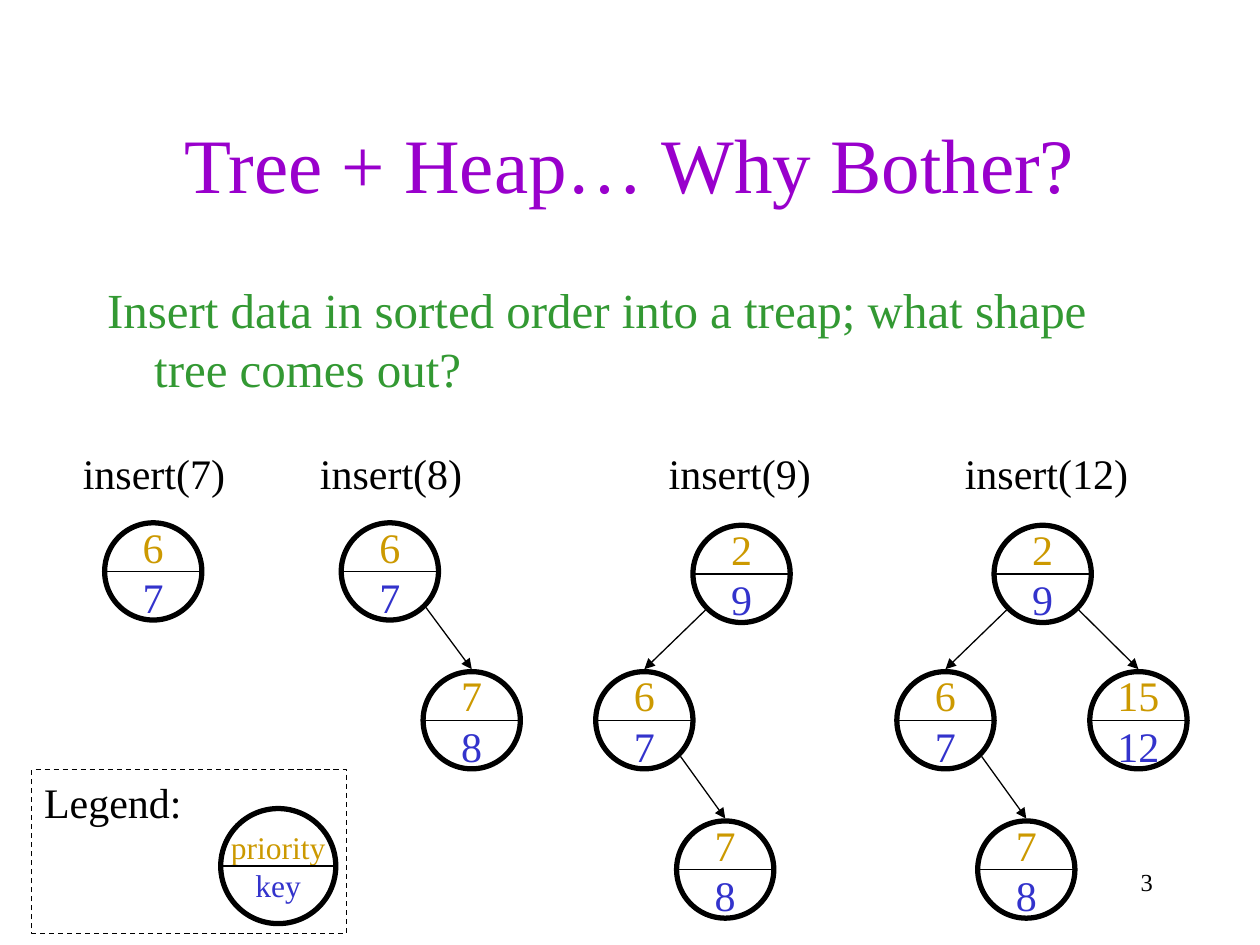
from dataclasses import dataclass
from math import sqrt

from lxml.etree import SubElement
from pptx import Presentation
from pptx.dml.color import RGBColor
from pptx.enum.dml import MSO_LINE_DASH_STYLE as Dash
from pptx.enum.shapes import MSO_CONNECTOR as Connector, MSO_SHAPE as Shape
from pptx.enum.text import MSO_ANCHOR as Anchor, PP_ALIGN as Align
from pptx.oxml.ns import qn
from pptx.util import Cm, Pt

FONT = "Times New Roman"
COLORS = {
    "title": "9900CC",
    "question": "339933",
    "priority": "CC9900",
    "key": "3333CC",
    "ink": "000000",
}
NODE_SIZE = 1.96
LEGEND_SIZE = 2.32
LINE_OVERHANG = 0.05
ROW_Y = (11.52, 14.52, 17.53)
LARGE_ROOT_Y = 11.57
LABEL_TOP = 8.89
LAST_TREE_SHIFT = 6.07


@dataclass
class Node:
    """A treap node; x and y are its centre in cm, parent an index in its tree."""
    priority: str
    key: str
    x: float
    y: float
    parent: int | None = None
    size: float = NODE_SIZE
    text_size: int = 24

    @property
    def reach(self) -> float:
        """Distance from the centre to the ends of the lines that touch the node."""
        return self.size / 2 + LINE_OVERHANG


@dataclass
class Tree:
    label: str
    label_left: float
    label_width: float
    nodes: list[Node]


def large_tree_nodes(shift: float) -> list[Node]:
    return [
        Node("2", "9", 14.95 + shift, LARGE_ROOT_Y),
        Node("6", "7", 12.99 + shift, ROW_Y[1], 0),
        Node("7", "8", 14.62 + shift, ROW_Y[2], 1),
    ]


TREES = [
    Tree("insert(7)", 1.42, 3.4, [Node("6", "7", 3.09, ROW_Y[0])]),
    Tree("insert(8)", 6.2, 3.4, [
        Node("6", "7", 7.86, ROW_Y[0]),
        Node("7", "8", 9.51, ROW_Y[1], 0),
    ]),
    Tree("insert(9)", 13.23, 3.4, large_tree_nodes(0)),
    Tree("insert(12)", 19.2, 3.9, large_tree_nodes(LAST_TREE_SHIFT) + [
        Node("15", "12", 22.95, ROW_Y[1], 0),
    ]),
]
LEGEND_NODE = Node("priority", "key", 5.61, 17.46, size=LEGEND_SIZE, text_size=18)


def style_paragraph(para, size: int, color: str, align=Align.LEFT) -> None:
    para.alignment = align
    for span in para.runs:
        span.font.name = FONT
        span.font.size = Pt(size)
        span.font.color.rgb = RGBColor.from_string(COLORS[color])


def add_text(shapes, text: str, place: tuple, size: int, color="ink",
             align=Align.LEFT, anchor=Anchor.TOP, wrap=True):
    box = shapes.add_textbox(*map(Cm, place))
    frame = box.text_frame
    frame.text = text
    frame.word_wrap = wrap
    frame.vertical_anchor = anchor
    style_paragraph(frame.paragraphs[0], size, color, align)
    return box


def add_outline(shapes, kind, place: tuple, width: float):
    """Add an unfilled shape with a black line."""
    shape = shapes.add_shape(kind, *map(Cm, place))
    shape.shadow.inherit = False
    shape.fill.background()
    shape.line.width = Pt(width)
    shape.line.color.rgb = RGBColor.from_string(COLORS["ink"])
    return shape


def add_line(shapes, start: tuple, end: tuple, arrow=False) -> None:
    line = shapes.add_connector(Connector.STRAIGHT, *map(Cm, start + end))
    line.line.width = Pt(0.75)
    line.line.color.rgb = RGBColor.from_string(COLORS["ink"])
    properties = line._element.spPr
    if arrow:
        SubElement(properties.find(qn("a:ln")), qn("a:tailEnd"), type="triangle")
    SubElement(properties, qn("a:effectLst"))


def add_node(shapes, node: Node) -> None:
    radius = node.size / 2
    place = (node.x - radius, node.y - radius, node.size, node.size)
    circle = add_outline(shapes, Shape.OVAL, place, 3)
    frame = circle.text_frame
    frame.text = f"{node.priority}\n{node.key}"
    frame.word_wrap = False
    frame.vertical_anchor = Anchor.MIDDLE
    for para, color in zip(frame.paragraphs, ("priority", "key")):
        style_paragraph(para, node.text_size, color, Align.CENTER)
    add_line(shapes, (node.x - node.reach, node.y), (node.x + node.reach, node.y))


def add_edge(shapes, parent: Node, child: Node) -> None:
    """Point from the parent's lower diagonal to the top of the child."""
    offset = parent.reach / sqrt(2)
    side = 1 if child.x > parent.x else -1
    start = (parent.x + side * offset, parent.y + offset)
    add_line(shapes, start, (child.x, child.y - child.reach), arrow=True)


def add_tree(page, tree: Tree) -> None:
    shapes = page.shapes.add_group_shape().shapes
    place = (tree.label_left, LABEL_TOP, tree.label_width, 1.27)
    add_text(shapes, tree.label, place, 24)
    for node in tree.nodes:
        add_node(shapes, node)
        if node.parent is not None:
            add_edge(shapes, tree.nodes[node.parent], node)


def add_legend(page) -> None:
    add_node(page.shapes, LEGEND_NODE)
    border = add_outline(page.shapes, Shape.RECTANGLE, (0.64, 15.52, 6.35, 3.3), 0.75)
    border.line.dash_style = Dash.DASH
    border.text_frame.text = "Legend:"
    border.text_frame.word_wrap = True
    border.text_frame.vertical_anchor = Anchor.TOP
    style_paragraph(border.text_frame.paragraphs[0], 24, "ink")


def main() -> None:
    deck = Presentation()
    deck.slide_width, deck.slide_height = Cm(25.4), Cm(19.05)
    page = deck.slides.add_slide(deck.slide_layouts[6])

    add_text(page.shapes, "3", (18.21, 17.35, 5.28, 1.27), 14, align=Align.RIGHT)
    add_text(page.shapes, "Tree + Heap… Why Bother?", (1.9, 1.7, 21.59, 3.18), 44,
             "title", Align.CENTER, Anchor.MIDDLE)
    question = add_text(
        page.shapes,
        "Insert data in sorted order into a treap; what shape tree comes out?",
        (1.91, 5.51, 21.59, 11.43), 28, "question")
    properties = question.text_frame.paragraphs[0]._p.get_or_add_pPr()
    properties.set("marL", str(Cm(0.95)))
    properties.set("indent", str(Cm(-0.95)))

    for tree in TREES:
        add_tree(page, tree)
    add_legend(page)
    deck.save("out.pptx")


if __name__ == "__main__":
    main()
